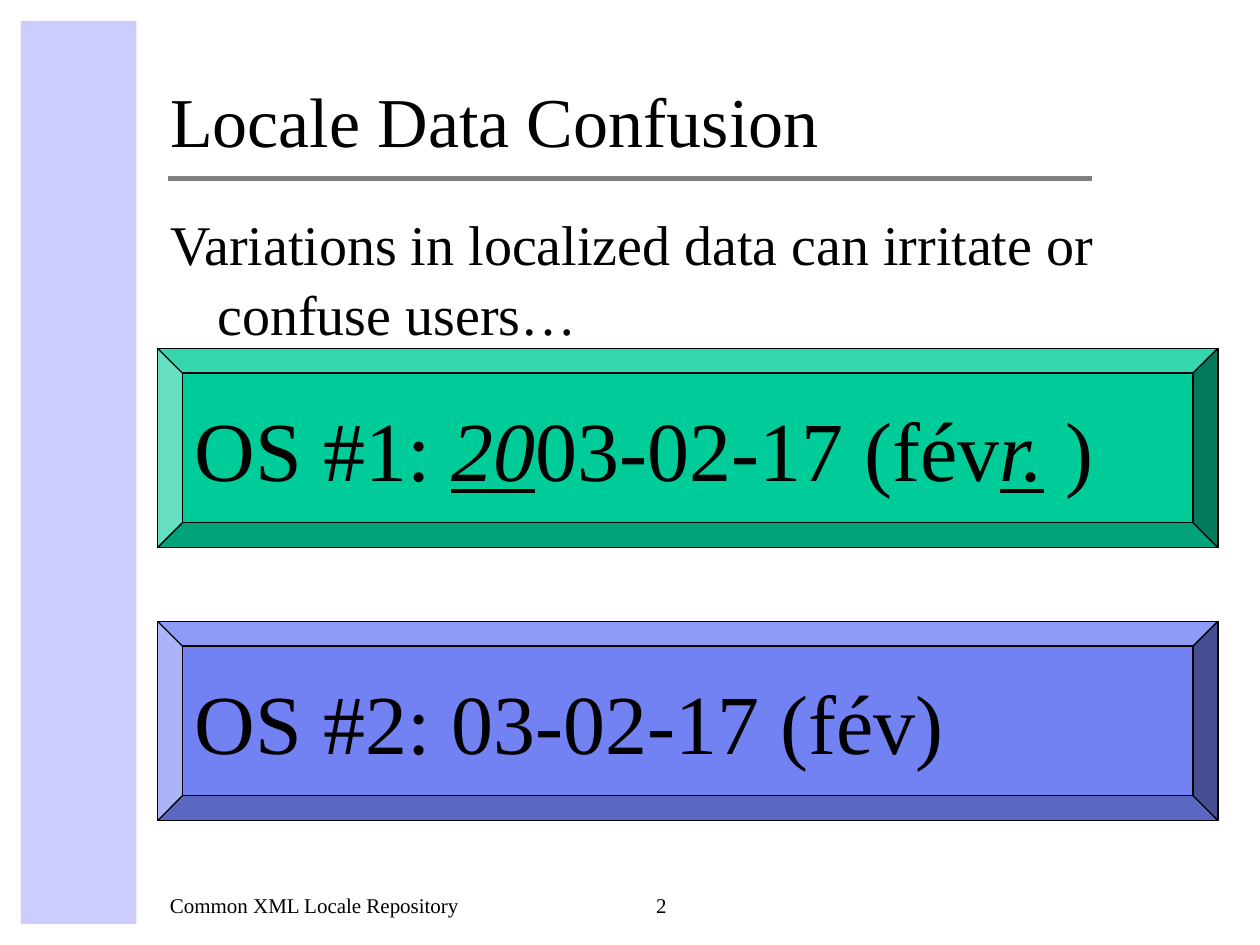
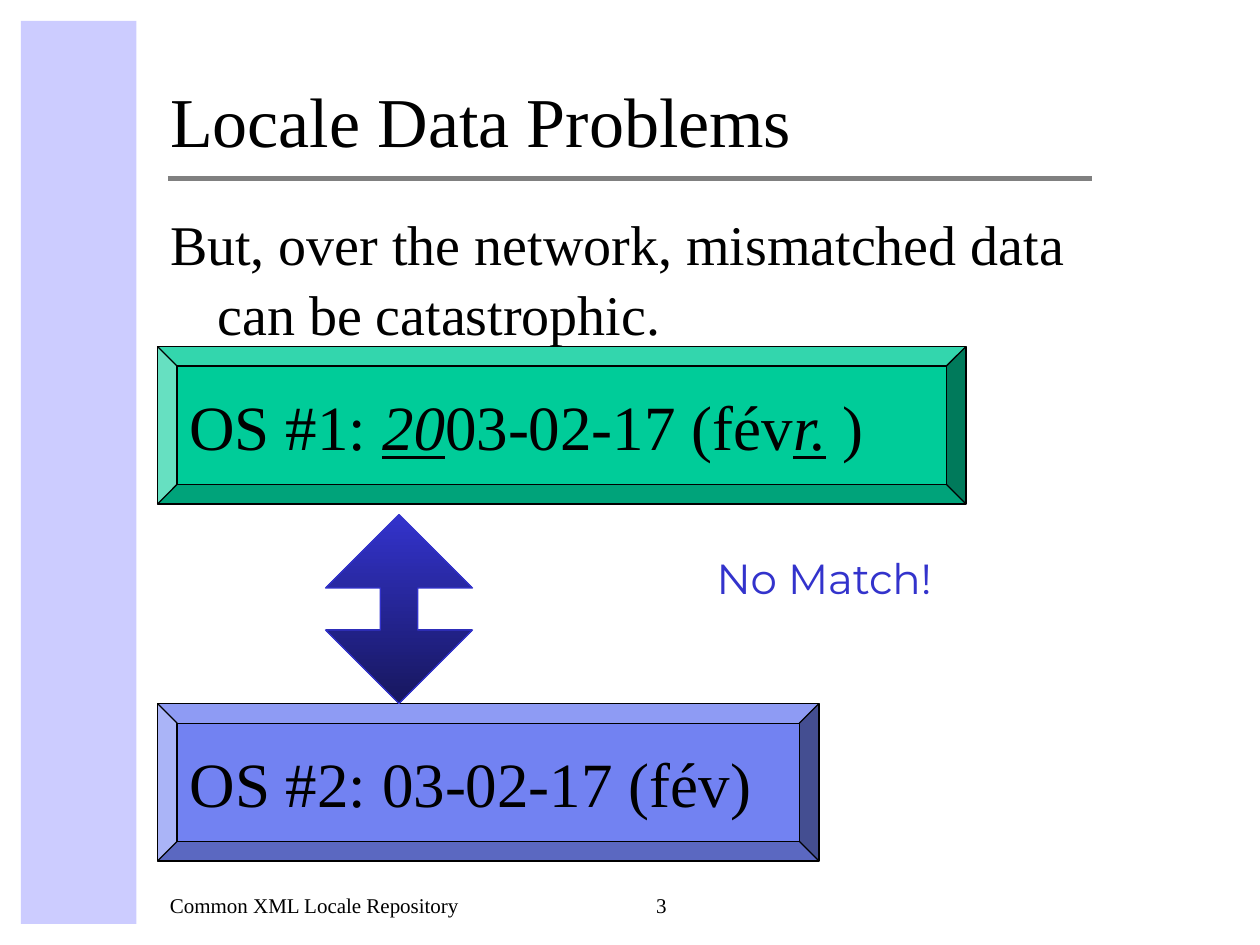
from dataclasses import dataclass
from typing import NamedTuple

from lxml import etree
from pptx import Presentation
from pptx.dml.color import RGBColor
from pptx.enum.shapes import MSO_CONNECTOR, MSO_SHAPE
from pptx.enum.text import MSO_ANCHOR, MSO_AUTO_SIZE, PP_ALIGN
from pptx.oxml.ns import qn
from pptx.util import Pt

RECTANGLE = MSO_SHAPE.RECTANGLE
BEVEL = MSO_SHAPE.BEVEL
UP_DOWN_ARROW = MSO_SHAPE.UP_DOWN_ARROW
STRAIGHT = MSO_CONNECTOR.STRAIGHT
TOP, MIDDLE, BOTTOM = MSO_ANCHOR.TOP, MSO_ANCHOR.MIDDLE, MSO_ANCHOR.BOTTOM
LEFT, CENTER = PP_ALIGN.LEFT, PP_ALIGN.CENTER
NO_AUTO_SIZE = MSO_AUTO_SIZE.NONE


@dataclass(frozen=True)
class Theme:
    serif: str = "Times New Roman"
    sans: str = "Montserrat"
    ink: RGBColor = RGBColor.from_string("000000")
    band: RGBColor = RGBColor.from_string("CCCCFF")
    rule: RGBColor = RGBColor.from_string("808080")
    green: RGBColor = RGBColor.from_string("00CC99")
    periwinkle: RGBColor = RGBColor.from_string("7282F2")
    blue: RGBColor = RGBColor.from_string("3333CC")
    navy: RGBColor = RGBColor.from_string("17175E")
    title_size: int = 40
    body_size: int = 32
    large_size: int = 48
    medium_size: int = 36
    label_size: int = 24
    footer_size: int = 12


class Box(NamedTuple):
    left: float
    top: float
    width: float
    height: float

    def lengths(self):
        return [Pt(value) for value in self]


THEME = Theme()
SLIDE_BOX = Box(0, 0, 720, 540)
MARGIN = 12
CONTENT_LEFT = 90
TITLE_BOX = Box(CONTENT_LEFT, MARGIN, 534, 84)
BODY_BOX = Box(CONTENT_LEFT, 114, 576, 366)
FOOTER_BOX = Box(CONTENT_LEFT, 492, 306, 36)
HANGING_INDENT = 27
FOOTER_TEXT = "Common XML Locale Repository"
FIRST_DATE = [("OS #1: ", False), ("20", True), ("03-02-17 (fév", False),
              ("r.", True), (" )", False)]
SECOND_DATE = [("OS #2: 03-02-17 (fév)", False)]


def style_text(shape, size, color=THEME.ink, font=THEME.serif, anchor=TOP, align=LEFT):
    text_frame = shape.text_frame
    text_frame.word_wrap = True
    text_frame.auto_size = NO_AUTO_SIZE
    text_frame.vertical_anchor = anchor
    for paragraph in text_frame.paragraphs:
        paragraph.alignment = align
        for run in paragraph.runs:
            run.font.name = font
            run.font.size = Pt(size)
            run.font.color.rgb = color


def place(shape, box):
    shape.left, shape.top, shape.width, shape.height = box.lengths()


def add_text(slide, box, text, size, **style):
    shape = slide.shapes.add_textbox(*box.lengths())
    shape.text_frame.text = text
    style_text(shape, size, **style)


def add_preset(slide, kind, box, line_color=None):
    shape = slide.shapes.add_shape(kind, *box.lengths())
    shape.shadow.inherit = False
    if line_color is None:
        shape.line.fill.background()
    else:
        shape.line.color.rgb = line_color
        shape.line.width = Pt(0.75)
    return shape


def decorate_layout(slide, box):
    band = add_preset(slide, RECTANGLE,
                      Box(box.left + MARGIN, box.top + MARGIN, 66, box.height - 2 * MARGIN))
    band.fill.solid()
    band.fill.fore_color.rgb = THEME.band
    rule_top = Pt(box.top + 102)
    rule = slide.shapes.add_connector(STRAIGHT, Pt(box.left + 96), rule_top,
                                      Pt(box.left + 624), rule_top)
    rule.line.color.rgb = THEME.rule
    rule.line.width = Pt(3)
    etree.SubElement(rule.element.spPr, qn("a:effectLst"))
    layout_tree = slide.slide_layout.shapes.element
    for position, shape in enumerate((band, rule), start=2):
        layout_tree.insert(position, shape.element)


def fill_title(slide, box, text):
    title = slide.shapes.title
    place(title, box)
    title.text_frame.text = text
    style_text(title, THEME.title_size, anchor=BOTTOM)


def fill_body(slide, box, text):
    body = slide.placeholders[1]
    place(body, box)
    body.text_frame.text = text
    paragraph = body.text_frame.paragraphs[0]
    properties = paragraph._p.get_or_add_pPr()
    properties.set("marL", str(Pt(HANGING_INDENT)))
    properties.set("indent", str(Pt(-HANGING_INDENT)))
    etree.SubElement(properties, qn("a:buNone"))
    paragraph.space_before = Pt(0)
    paragraph.line_spacing = 1.05
    style_text(body, THEME.body_size)


def add_date_panel(slide, box, pieces, color, size):
    panel = add_preset(slide, BEVEL, box, THEME.ink)
    panel.adjustments[0] = 0.125
    panel.fill.solid()
    panel.fill.fore_color.rgb = color
    paragraph = panel.text_frame.paragraphs[0]
    for text, differs in pieces:
        run = paragraph.add_run()
        run.text = text
        run.font.italic = differs
        run.font.underline = differs
    style_text(panel, size, anchor=MIDDLE)


def add_mismatch(slide, box):
    arrow = add_preset(slide, UP_DOWN_ARROW,
                       Box(box.left + 96, box.top, 84, box.height), THEME.blue)
    arrow.adjustments[0] = 0.5
    arrow.adjustments[1] = 0.256
    arrow.fill.gradient()
    arrow.fill.gradient_angle = 270
    for stop, color in zip(arrow.fill.gradient_stops, (THEME.blue, THEME.navy)):
        stop.color.rgb = color
    add_text(slide, Box(box.left + 198, box.top + 18, 366, 66), "No Match!",
             THEME.label_size, color=THEME.blue, font=THEME.sans, align=CENTER)


def add_footer(slide, box, number):
    add_text(slide, box._replace(width=264), FOOTER_TEXT, THEME.footer_size, anchor=BOTTOM)
    add_text(slide, Box(box.left + box.width - 36, box.top, 36, box.height), str(number),
             THEME.footer_size, anchor=BOTTOM, align=CENTER)


def start_slide(presentation, title, body):
    slide = presentation.slides.add_slide(presentation.slide_layouts[1])
    fill_title(slide, TITLE_BOX, title)
    fill_body(slide, BODY_BOX, body)
    return slide


def build_confusion(presentation):
    slide = start_slide(presentation, "Locale Data Confusion",
                        "Variations in localized data can irritate or confuse users…")
    decorate_layout(slide, SLIDE_BOX)
    panel = Box(CONTENT_LEFT, 199, 606, 114)
    add_date_panel(slide, panel, FIRST_DATE, THEME.green, THEME.large_size)
    add_date_panel(slide, panel._replace(top=355), SECOND_DATE, THEME.periwinkle,
                   THEME.large_size)
    add_footer(slide, FOOTER_BOX, 2)


def build_problems(presentation):
    slide = start_slide(presentation, "Locale Data Problems",
                        "But, over the network, mismatched data can be catastrophic.")
    panel = Box(CONTENT_LEFT, 198, 462, 90)
    add_date_panel(slide, panel, FIRST_DATE, THEME.green, THEME.medium_size)
    add_date_panel(slide, panel._replace(top=402, width=378), SECOND_DATE,
                   THEME.periwinkle, THEME.medium_size)
    add_mismatch(slide, Box(CONTENT_LEFT, 294, 564, 108))
    add_footer(slide, FOOTER_BOX, 3)


def main():
    presentation = Presentation()
    presentation.slide_width = Pt(SLIDE_BOX.width)
    presentation.slide_height = Pt(SLIDE_BOX.height)
    build_confusion(presentation)
    build_problems(presentation)
    presentation.save("out.pptx")


if __name__ == "__main__":
    main()
